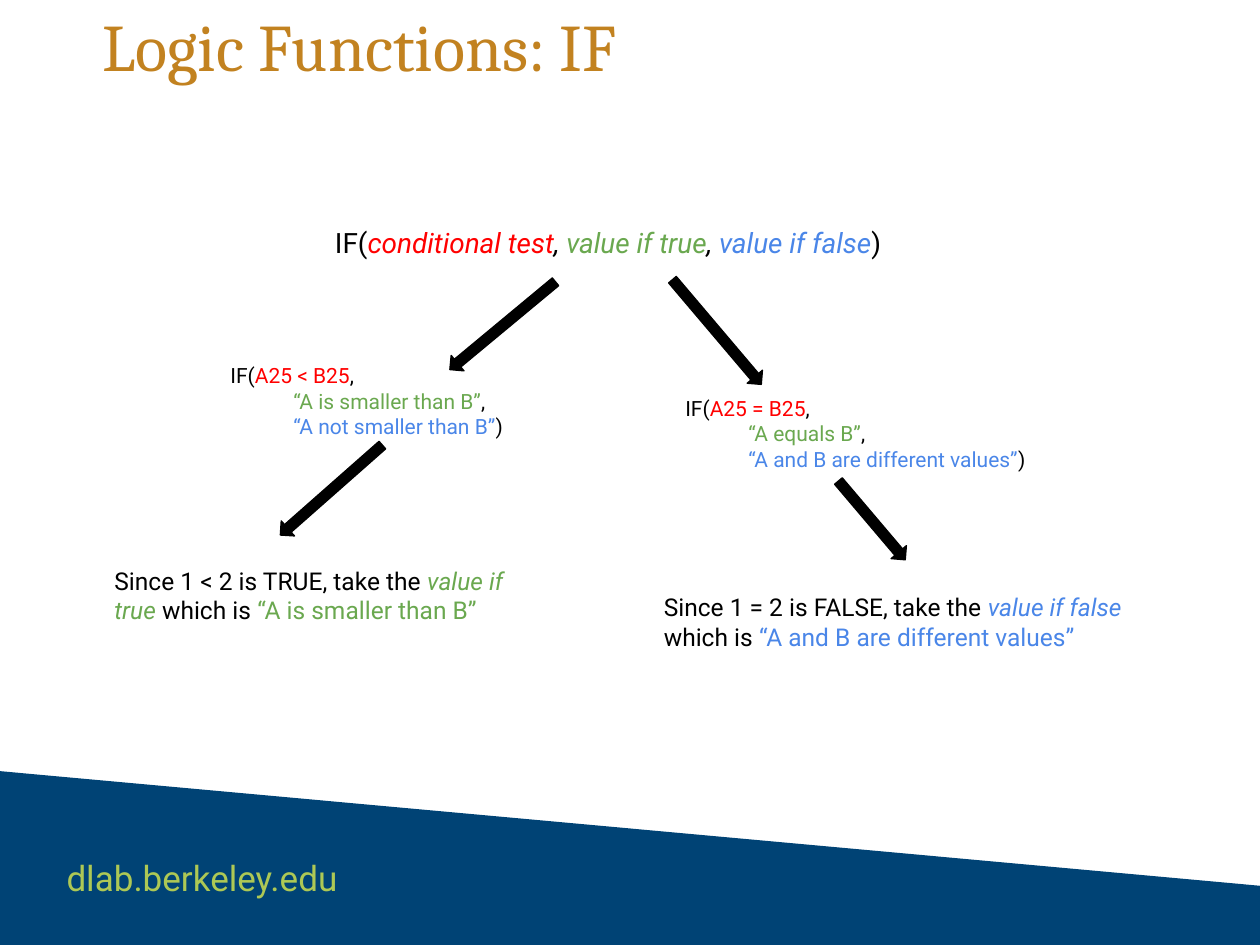
import pptx
import pptx.util
from pptx.dml.color import RGBColor
from pptx.enum.shapes import MSO_SHAPE
from pptx.enum.text import MSO_ANCHOR, PP_ALIGN

BLACK = RGBColor(0x00, 0x00, 0x00)
RED = RGBColor(0xFF, 0x00, 0x00)
GREEN = RGBColor(0x6A, 0xA8, 0x4F)
BLUE = RGBColor(0x4A, 0x86, 0xE8)
NAVY = RGBColor(0x00, 0x43, 0x75)
LIME = RGBColor(0xAD, 0xC8, 0x55)
GOLD = RGBColor(0xC2, 0x82, 0x20)

COLUMNS, ROWS = 100, 75
CELL = pptx.util.Inches(0.1)
MARGIN = pptx.util.Inches(0.1)
INDENT = pptx.util.Inches(0.5)


def grid(*cells):
    """Turn counts of grid cells into lengths."""
    return [pptx.util.Emu(round(cell * CELL)) for cell in cells]


def shift(box, left, top):
    """Move a (left, top, width, height) box by an origin."""
    return left + box[0], top + box[1], box[2], box[3]


def add_spans(para, spans, size):
    """Fill a paragraph from (text, colour, italic) spans."""
    for text, colour, italic in spans:
        span = para.add_run()
        span.text = text
        span.font.name = "Roboto"
        span.font.size = pptx.util.Pt(size)
        span.font.color.rgb = colour
        span.font.italic = italic


def add_text(page, box, lines, size):
    """Add a text box; every line after the first is indented."""
    frame = page.shapes.add_textbox(*grid(*box)).text_frame
    frame.word_wrap = True
    frame.margin_left = frame.margin_right = MARGIN
    frame.margin_top = frame.margin_bottom = MARGIN
    for index, spans in enumerate(lines):
        para = frame.add_paragraph() if index else frame.paragraphs[0]
        if index:
            properties = para._p.get_or_add_pPr()
            properties.set("marL", "0")
            properties.set("indent", str(INDENT))
        add_spans(para, spans, size)


def add_arrow(page, box, angle):
    arrow = page.shapes.add_shape(MSO_SHAPE.DOWN_ARROW, *grid(*box))
    arrow.rotation = angle
    arrow.shadow.inherit = False
    arrow.fill.solid()
    arrow.fill.fore_color.rgb = BLACK
    arrow.line.color.rgb = BLACK
    arrow.line.width = pptx.util.Pt(0.75)


def add_footer(page, top):
    """Draw the sloping band from the given row to the slide's foot."""
    builder = page.shapes.build_freeform(0, top * CELL)
    corners = [(0, ROWS), (COLUMNS, ROWS), (COLUMNS, top + 9.1)]
    builder.add_line_segments([grid(*corner) for corner in corners], close=True)
    band = builder.convert_to_shape()
    band.shadow.inherit = False
    band.fill.solid()
    band.fill.fore_color.rgb = NAVY
    band.line.fill.background()
    add_text(page, (4.3, top + 5.8, 63, 5.6), [[("dlab.berkeley.edu", LIME, False)]], 20)


def add_title(page, box, text):
    title = page.shapes.title
    title.left, title.top, title.width, title.height = grid(*box)
    frame = title.text_frame
    frame.text = text
    frame.word_wrap = True
    frame.vertical_anchor = MSO_ANCHOR.TOP
    frame.margin_left = frame.margin_right = 0
    frame.margin_top = frame.margin_bottom = 0
    para = frame.paragraphs[0]
    para.alignment = PP_ALIGN.LEFT
    font = para.runs[0].font
    font.name = "Cambria"
    font.size = pptx.util.Pt(38)
    font.color.rgb = GOLD


def add_syntax(page, box):
    spans = [
        ("IF(", BLACK, False),
        ("conditional test", RED, True),
        (", ", BLACK, True),
        ("value if true", GREEN, True),
        (", ", BLACK, True),
        ("value if false", BLUE, True),
        (")", BLACK, False),
    ]
    add_text(page, box, [spans], 16)


def add_branch(page, origin, boxes, angles, test, values, outcome):
    """Add arrow, formula, arrow and result, placed from the origin."""
    arrow_in, formula, arrow_out, result = [shift(box, *origin) for box in boxes]
    claim, kind, answer, colour = outcome
    add_arrow(page, arrow_in, angles[0])
    add_text(page, formula, [
        [("IF(", BLACK, False), (test, RED, False), (",", BLACK, False)],
        [(values[0], GREEN, False), (",", BLACK, False)],
        [(values[1], BLUE, False), (")", BLACK, False)],
    ], 12)
    add_arrow(page, arrow_out, angles[1])
    add_text(page, result, [[
        (f"Since {claim}, take the ", BLACK, False),
        (kind, colour, True),
        (" which is ", BLACK, False),
        (answer, colour, False),
    ]], 14)


def main():
    deck = pptx.Presentation()
    deck.slide_width, deck.slide_height = grid(COLUMNS, ROWS)
    page = deck.slides.add_slide(deck.slide_layouts.get_by_name("Title Only"))

    add_footer(page, 61.2)
    add_title(page, (8.1, 0.4, 83.8, 12.9), "Logic Functions: IF")
    add_syntax(page, (25.6, 16.9, 48.8, 4.7))

    smaller = "“A is smaller than B”"
    add_branch(
        page, (8.1, 20.4),
        [(31, 0, 1.6, 10.9), (9.2, 7.4, 25.7, 8.1),
         (17.4, 13.1, 1.6, 10.8), (0, 23.5, 36, 6.7)],
        (50.3, 48.6), "A25 < B25", (smaller, "“A not smaller than B”"),
        ("1 < 2 is TRUE", "value if true", smaller, GREEN))

    different = "“A and B are different values”"
    add_branch(
        page, (51.7, 20.9),
        [(4.4, 0, 1.6, 10.9), (1.7, 9.5, 48.8, 8.1),
         (16.7, 16.3, 1.6, 8.2), (0, 25.1, 41.2, 6.7)],
        (319.7, 319.7), "A25 = B25", ("“A equals B”", different),
        ("1 = 2 is FALSE", "value if false", different, BLUE))

    deck.save("out.pptx")


if __name__ == "__main__":
    main()
